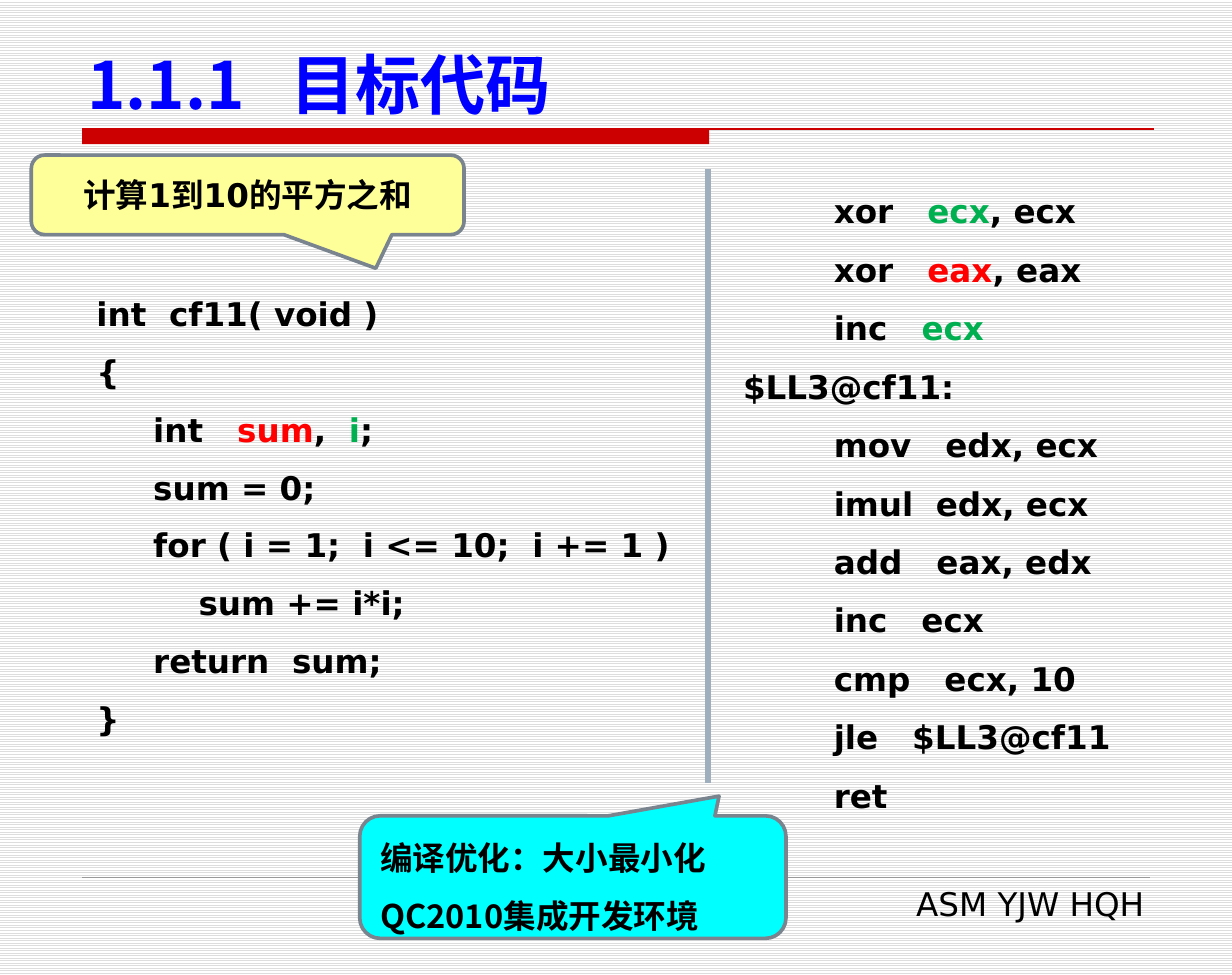
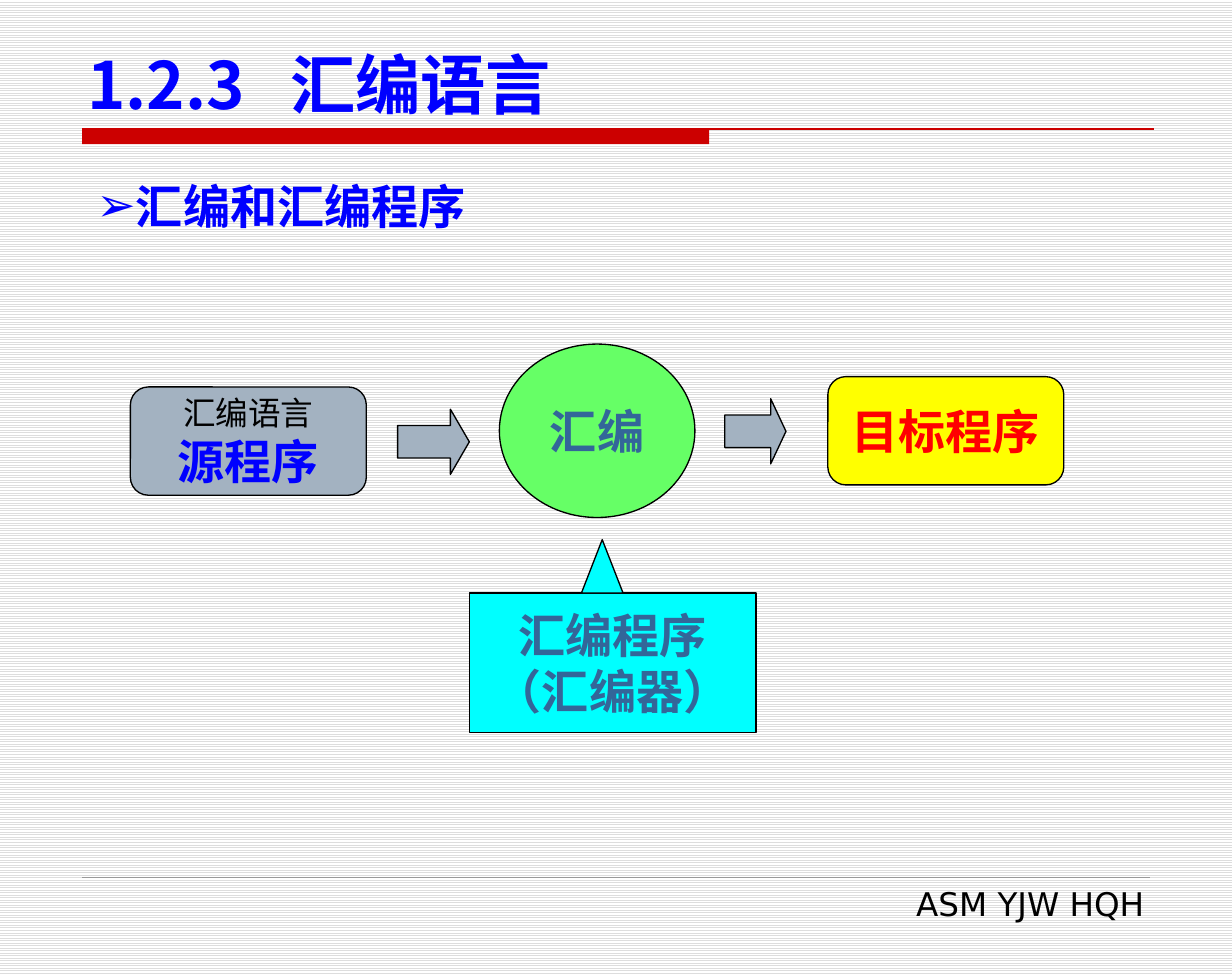
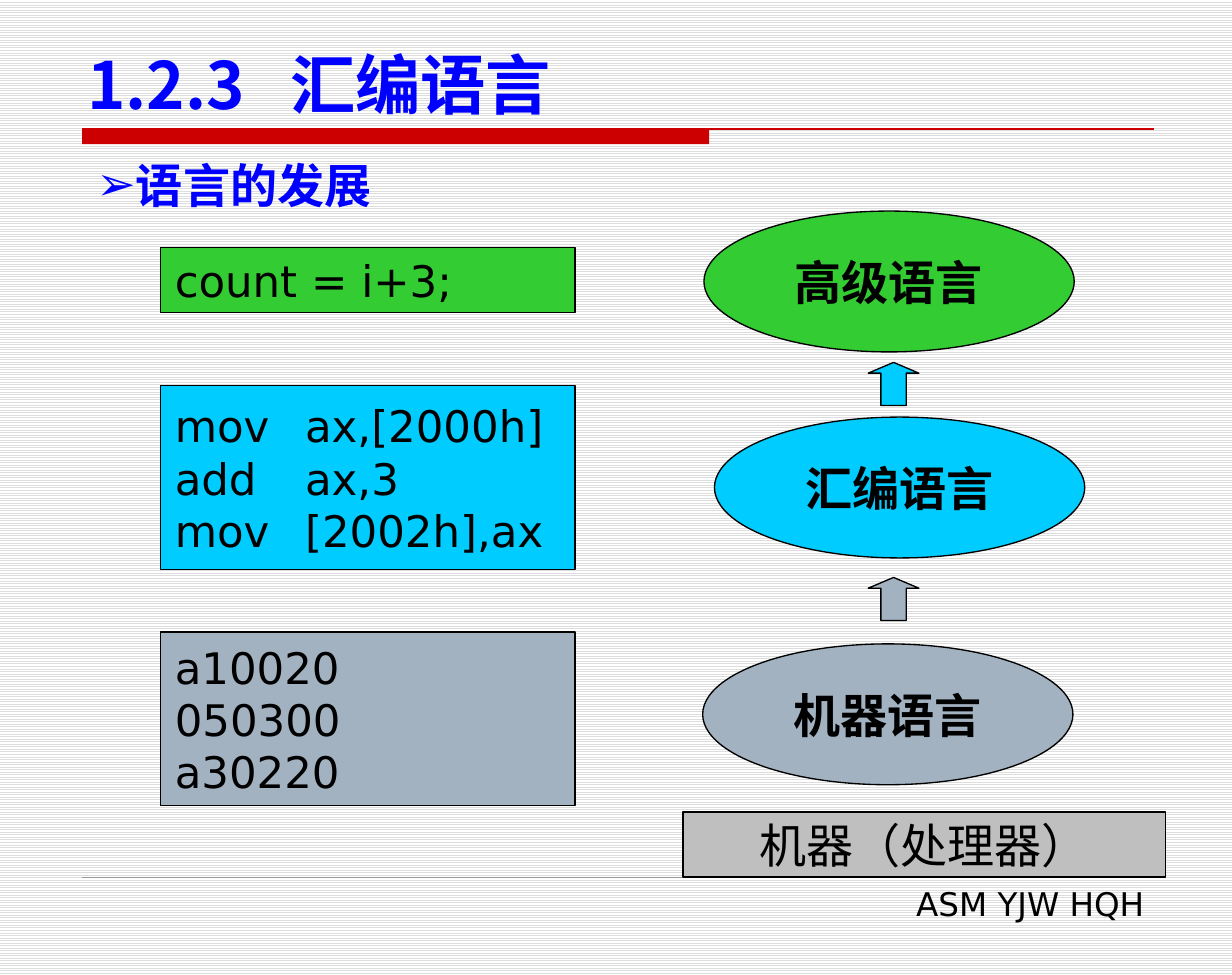
from lxml import etree
from pptx import Presentation
from pptx.dml.color import RGBColor
from pptx.enum import dml, shapes, text
from pptx.oxml.ns import qn
from pptx.util import Pt

SANS, CJK, SERIF = "DejaVu Sans", "Noto Sans CJK SC", "Times New Roman"
BLACK, BLUE, RED, GREEN = "000000", "0000FF", "FF0000", "00B050"
BAND, RULE, STEEL, SLATE = "CC0000", "999999", "A3B2C1", "336699"
CYAN, YELLOW, LIME, SKY = "00FFFF", "FFFF00", "33CC33", "00CCFF"
KIND, ALIGN, ANCHOR = shapes.MSO_SHAPE, text.PP_ALIGN, text.MSO_ANCHOR
LEFT, TOP = 45.4, 71.3
CREDIT = "ASM YJW HQH"

# A paragraph is a string, or a list of (text, format) runs.
HUE = {c: {"hue": c} for c in (RED, GREEN, BLUE)}
SOURCE = [
    "int  cf11( void )",
    "{",
    [("     int   ", {}), ("sum", HUE[RED]), (",  ", {}), ("i", HUE[GREEN]), (";", {})],
    "     sum = 0;",
    "     for ( i = 1;  i <= 10;  i += 1 )",
    "         sum += i*i;",
    "     return  sum;",
    "}",
]
TARGET = [
    [("        xor   ", {}), ("ecx", HUE[GREEN]), (", ecx", {})],
    [("        xor   ", {}), ("eax", HUE[RED]), (", eax", {})],
    [("        inc   ", {}), ("ecx", HUE[GREEN])],
    "$LL3@cf11:",
    "        mov   edx, ecx",
    "        imul  edx, ecx",
    "        add   eax, edx",
    "        inc   ecx",
    "        cmp   ecx, 10",
    "        jle   $LL3@cf11",
    "        ret",
]
TASK = ["计算1到10的平方之和"]
BUILD = ["编译优化：大小最小化", [("QC2010集成开发环境", {"face": CJK})]]

# kind, box, fill, paragraphs, text colour
FLOW = [
    (KIND.FLOWCHART_ALTERNATE_PROCESS, (72, 213.8, 130.3, 59.8), STEEL,
     [[("汇编语言", {"size": 18, "bold": False, "hue": BLACK})], "源程序"], BLUE),
    (KIND.OVAL, (275.8, 190.1, 108, 95.8), "66FF66", ["汇编"], SLATE),
    (KIND.FLOWCHART_ALTERNATE_PROCESS, (457.2, 208.1, 130.3, 59.8), YELLOW,
     ["目标程序"], RED),
    (KIND.RECTANGLE, (259.2, 327.6, 158.4, 77), CYAN,
     ["汇编程序", "（汇编器）"], SLATE),
]
STEPS = [((219.6, 226.1, 39.6, 36), 0.29), ((400.3, 220.3, 33.8, 36), 0.25)]

# name, fill, ellipse left and top, code top and height, code lines, arrow top
LEVELS = [
    ("高级语言", LIME, 388.8, 116.6, 136.8, 36, ["count = i+3;"], None),
    ("汇编语言", SKY, 394.6, 230.4, 213.1, 101.5,
     ["mov\tax,[2000h]", "add\tax,3", "mov\t[2002h],ax"], 200.2),
    ("机器语言", STEEL, 388.1, 355.7, 349.2, 95.8,
     ["a10020", "050300", "a30220"], 319),
]


def rgb(code):
    return RGBColor.from_string(code)


def paint(fill, code):
    fill.solid()
    fill.fore_color.rgb = rgb(code)


def sub(node, tag, **attrs):
    return etree.SubElement(node, qn(tag), attrs)


def style(run, face=SANS, size=18, hue=BLACK, bold=False):
    font = run.font
    font.name, font.size, font.bold = face, Pt(size), bold
    font.color.rgb = rgb(hue)
    sub(run._r.get_or_add_rPr(), "a:ea", typeface=CJK)


def say(shape, paras, align=ALIGN.LEFT, anchor=ANCHOR.MIDDLE, lead=None,
        tab=None, bullet=None, **fmt):
    """Fill a shape with formatted paragraphs."""
    frame = shape.text_frame
    frame.word_wrap, frame.auto_size = True, text.MSO_AUTO_SIZE.NONE
    frame.vertical_anchor = anchor
    frame.margin_left = frame.margin_right = Pt(7.9)
    frame.margin_top = frame.margin_bottom = Pt(3.6)
    for i, runs in enumerate(paras):
        para = frame.add_paragraph() if i else frame.paragraphs[0]
        para.alignment = align
        if lead:
            para.line_spacing = Pt(lead)
        props = para._p.get_or_add_pPr()
        if bullet:
            props.set("marL", str(Pt(21.5)))
            props.set("indent", str(Pt(-21.5)))
            sub(props, "a:buFont", typeface=SANS)
            sub(props, "a:buChar", char=bullet)
        if tab:
            sub(sub(props, "a:tabLst"), "a:tab", pos=str(Pt(tab)), algn="l")
        for words, own in [(runs, {})] if isinstance(runs, str) else runs:
            run = para.add_run()
            run.text = words
            style(run, **{**fmt, **own})


def note(slide, box, paras, anchor=ANCHOR.TOP, **fmt):
    area = slide.shapes.add_textbox(*map(Pt, box))
    say(area, paras, anchor=anchor, **fmt)
    return area


def draw(slide, kind, box, fill, edge=BLACK, width=0.75, adjust=()):
    shape = slide.shapes.add_shape(kind, *map(Pt, box))
    shape.shadow.inherit = False
    paint(shape.fill, fill)
    if edge:
        paint(shape.line.fill, edge)
        shape.line.width = Pt(width)
    else:
        shape.line.fill.background()
    for i, value in enumerate(adjust):
        shape.adjustments[i] = value
    return shape


def rule(slide, ends, hue, width):
    line = slide.shapes.add_connector(shapes.MSO_CONNECTOR.STRAIGHT, *map(Pt, ends))
    paint(line.line.fill, hue)
    line.line.width = Pt(width)
    sub(line._element.spPr, "a:effectLst")
    return line


def dress(slide, layout):
    """Draw the shared band and footer, then move them to the layout."""
    parts = [
        draw(slide, KIND.RECTANGLE, (LEFT, TOP, 346.3, 8.3), BAND, edge=None),
        rule(slide, (LEFT, TOP, 637.2, TOP), BAND, 0.75),
        rule(slide, (LEFT, 484.6, 635, 484.6), RULE, 0.25),
        note(slide, (260, 484.6, 380, 29.5), [CREDIT], align=ALIGN.RIGHT),
    ]
    for part in parts:
        layout.shapes.element.append(part.element)


def start(deck, name):
    slide = deck.slides.add_slide(deck.slide_layouts[5])
    title = slide.shapes.title
    title.left, title.top, title.width, title.height = map(Pt, (40.3, 20.2, 616.3, 51.1))
    say(title, [name], anchor=ANCHOR.BOTTOM, tab=112,
        face=CJK, size=36, hue=BLUE, bold=True)
    return slide


def head(slide, top, words):
    note(slide, (LEFT, top, 590, 41), [words], bullet="➢",
         size=26, hue=BLUE, bold=True)


def code(slide):
    note(slide, (LEFT, 148.3, 357, 266.4), SOURCE, lead=32, bold=True)
    kind = KIND.ROUNDED_RECTANGULAR_CALLOUT
    task = draw(slide, kind, (17.3, 85.7, 239, 43.9), "FFFF99", "79848F", 2,
                (0.296, 0.924, 0.167))
    say(task, TASK, align=ALIGN.CENTER, bold=True)
    build = draw(slide, kind, (198.7, 450.7, 235.4, 67.7), CYAN, "79848F", 2,
                 (0.343, -0.661, 0.167))
    say(build, BUILD, lead=32, bold=True)
    rule(slide, (391, 93.6, 391, 432.7), "9FAEBD", 3)
    note(slide, (402.5, 85.7, 270.7, 373.7), TARGET, anchor=ANCHOR.MIDDLE,
         lead=32.3, bold=True)


def flow(slide):
    head(slide, 94.3, "汇编和汇编程序")
    for kind, box, fill, paras, hue in FLOW:
        say(draw(slide, kind, box, fill), paras, align=ALIGN.CENTER,
            face=SERIF, size=26, hue=hue, bold=True)
    for box, tip in STEPS:
        draw(slide, KIND.RIGHT_ARROW, box, STEEL, adjust=(0.5, tip))
    draw(slide, KIND.ISOSCELES_TRIANGLE, (321.1, 298.1, 23, 29.5), CYAN)


def growth(slide):
    head(slide, 82.8, "语言的发展")
    label = dict(align=ALIGN.CENTER, face=SERIF, size=26)
    chip = draw(slide, KIND.RECTANGLE, (377.3, 448.6, 266.4, 36), "BFBFBF")
    say(chip, ["机器（处理器）"], **label)
    for name, fill, left, top, low, high, lines, tip in LEVELS:
        oval = draw(slide, KIND.OVAL, (left, top, 204.5, 77.8), fill)
        say(oval, [name], bold=True, **label)
        block = draw(slide, KIND.RECTANGLE, (88.6, low, 229, high), fill)
        say(block, lines, size=24)
        if tip:
            draw(slide, KIND.UP_ARROW, (479.5, tip, 28, 23.8), fill, adjust=(0.5, 0.25))


def main():
    deck = Presentation()
    deck.slide_width, deck.slide_height = Pt(680.4), Pt(538.6)
    back = deck.slide_master.background.fill
    back.patterned()
    back.pattern = dml.MSO_PATTERN.LIGHT_HORIZONTAL
    back.fore_color.rgb, back.back_color.rgb = rgb("DDDDDD"), rgb("FFFFFF")
    pages = [("1.1.1\t目标代码", code), ("1.2.3\t汇编语言", flow),
             ("1.2.3\t汇编语言", growth)]
    for i, (name, fill) in enumerate(pages):
        slide = start(deck, name)
        if not i:
            dress(slide, slide.slide_layout)
        fill(slide)
    deck.save("out.pptx")


if __name__ == "__main__":
    main()
